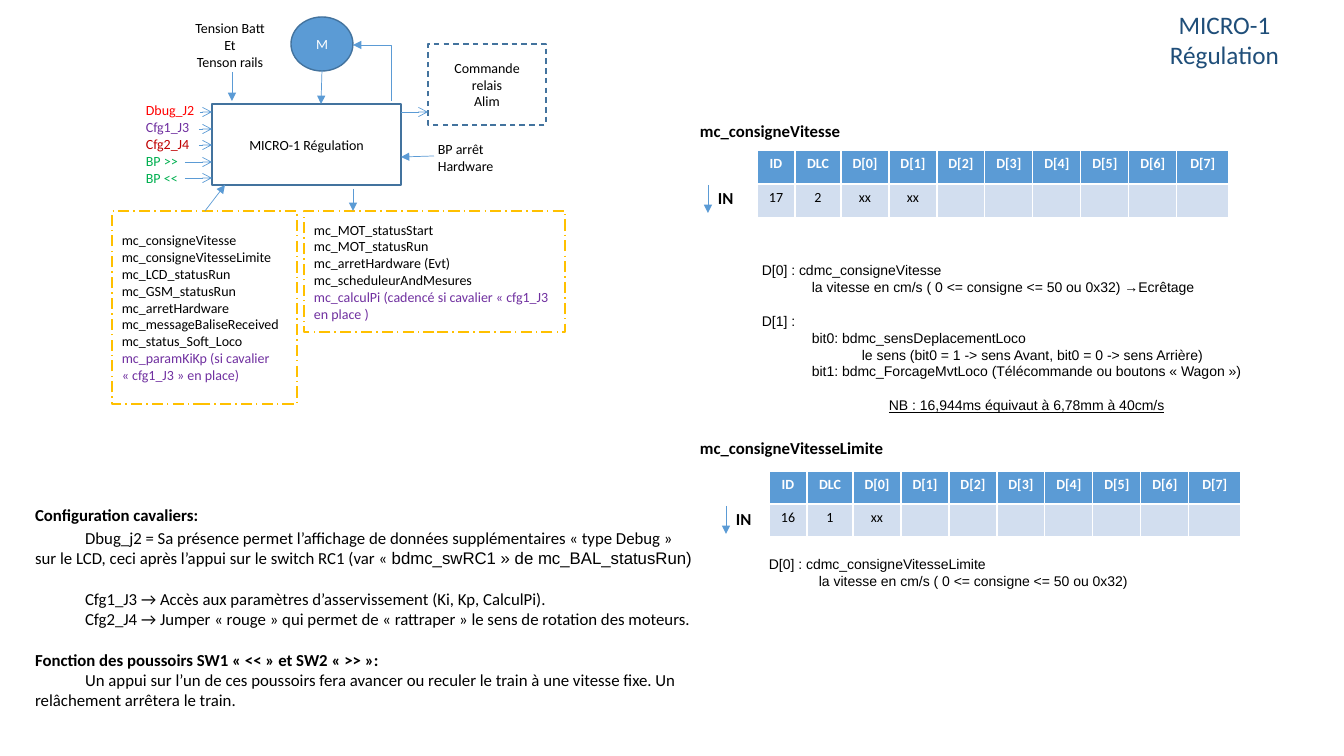
from dataclasses import dataclass

from lxml import etree
from pptx import Presentation
from pptx.dml.color import RGBColor
from pptx.enum.dml import MSO_LINE
from pptx.enum.shapes import MSO_CONNECTOR, MSO_SHAPE
from pptx.enum.text import MSO_ANCHOR, MSO_AUTO_SIZE, PP_ALIGN
from pptx.oxml.ns import qn
from pptx.util import Emu, Pt

SCALE = 914400 / 100.8
TAB = 50
UNIT_NAME = "MICRO-1 Régulation"
COLORS = {
    "black": "000000", "white": "FFFFFF", "blue": "5B9BD5", "edge": "43739E",
    "navy": "1F4E79", "pale": "D2DEEF", "gold": "FFC000", "red": "FF0000",
    "purple": "7030A0", "crimson": "C00000", "green": "00B050",
}
COLUMNS = [38, 46] + [48] * 7 + [52]
HEADERS = ["ID", "DLC"] + [f"D[{i}]" for i in range(8)]


@dataclass
class Line:
    """One paragraph; text is a string or a list of (text, font) runs."""
    text: object
    color: str = "black"
    size: int = 10
    font: str = "Calibri"
    bold: bool = False
    underline: bool = False
    align: object = PP_ALIGN.LEFT
    left: int = 0
    first: int = 0
    before: float = 0


def px(value):
    """Turn pixels into EMU."""
    return Emu(round(value * SCALE))


def rgb(name):
    """Look up a named colour."""
    return RGBColor.from_string(COLORS[name])


def write(frame, lines, wrap=True, anchor=MSO_ANCHOR.TOP):
    """Fill a text frame with formatted lines."""
    frame.word_wrap = wrap
    frame.auto_size = MSO_AUTO_SIZE.NONE
    frame.vertical_anchor = anchor
    for index, line in enumerate(lines):
        paragraph = frame.paragraphs[0] if index == 0 else frame.add_paragraph()
        paragraph.alignment = line.align
        paragraph.line_spacing = 1.0
        paragraph.space_before = Pt(line.before)
        properties = paragraph._p.get_or_add_pPr()
        properties.set("marL", str(px(line.left)))
        properties.set("indent", str(px(line.first)))
        etree.SubElement(properties, qn("a:buNone"))
        if not line.text:
            etree.SubElement(paragraph._p, qn("a:endParaRPr"), sz=str(line.size * 100))
            continue
        runs = [(line.text, line.font)] if isinstance(line.text, str) else line.text
        for text, font in runs:
            run = paragraph.add_run()
            run.text = text
            run.font.name = font
            run.font.size = Pt(line.size)
            run.font.bold = line.bold
            run.font.underline = line.underline
            run.font.color.rgb = rgb(line.color)


def add_text(slide, box, lines, wrap=False):
    """Add a text box."""
    write(slide.shapes.add_textbox(*map(px, box)).text_frame, lines, wrap)


def fill_placeholder(placeholder, box, lines, wrap=True):
    """Move a placeholder and write its text."""
    placeholder.left, placeholder.top, placeholder.width, placeholder.height = map(px, box)
    write(placeholder.text_frame, lines, wrap)


def add_block(slide, kind, box, lines, edge="edge", dash=None, fill=None):
    """Add an outlined shape with text centred vertically."""
    shape = slide.shapes.add_shape(kind, *map(px, box))
    shape.shadow.inherit = False
    if fill:
        shape.fill.solid()
        shape.fill.fore_color.rgb = rgb(fill)
    else:
        shape.fill.background()
    shape.line.color.rgb = rgb(edge)
    shape.line.width = Pt(1)
    if dash:
        shape.line.dash_style = dash
    write(shape.text_frame, lines, anchor=MSO_ANCHOR.MIDDLE)


def add_arrow(slide, x1, y1, x2, y2, head="triangle"):
    """Add a thin arrow pointing at its second end."""
    arrow = slide.shapes.add_connector(MSO_CONNECTOR.STRAIGHT, *map(px, (x1, y1, x2, y2)))
    arrow.line.color.rgb = rgb("blue")
    arrow.line.width = Pt(0.5)
    etree.SubElement(arrow.line._get_or_add_ln(), qn("a:tailEnd"), type=head)
    etree.SubElement(arrow._element.spPr, qn("a:effectLst"))
    return arrow


def add_feedback_arrow(slide):
    """Add the bent arrow from the regulator up to the motor."""
    properties = add_arrow(slide, 344, 92, 400, 54)._element.spPr
    properties.find(qn("a:prstGeom")).set("prst", "bentConnector2")
    properties.find(qn("a:xfrm")).set("rot", str(270 * 60000))


def add_frame_table(slide, left, top, row_height, values):
    """Add the byte layout of one message."""
    box = (left, top, sum(COLUMNS), 2 * row_height)
    table = slide.shapes.add_table(2, len(COLUMNS), *map(px, box)).table
    for column, width in zip(table.columns, COLUMNS):
        column.width = px(width)
    padded = values + [""] * (len(COLUMNS) - len(values))
    styles = (("blue", "white", True), ("pale", "black", False))
    for row, (texts, (fill, color, bold)) in enumerate(zip((HEADERS, padded), styles)):
        table.rows[row].height = px(row_height)
        for col, text in enumerate(texts):
            cell = table.cell(row, col)
            cell.fill.solid()
            cell.fill.fore_color.rgb = rgb(fill)
            write(cell.text_frame, [Line(text, color, bold=bold, align=PP_ALIGN.CENTER)])


def add_message(slide, name, name_top, table_box, values, arrow_x, arrow_y):
    """Add a message heading, its table and its IN marker."""
    add_text(slide, (690, name_top, 206, 30), [Line(name, size=12, bold=True)])
    add_frame_table(slide, *table_box, values)
    add_arrow(slide, arrow_x, arrow_y, arrow_x, arrow_y + 28)
    add_text(slide, (arrow_x, arrow_y - 2, 36, 30), [Line("IN", size=12, bold=True)])


def centered(*texts, color="black"):
    """Make centred lines."""
    return [Line(text, color, align=PP_ALIGN.CENTER) for text in texts]


def add_diagram(slide):
    """Draw the regulator with its inputs and outputs."""
    add_block(slide, MSO_SHAPE.RECTANGLE, (212, 104, 189, 81), centered(UNIT_NAME))
    add_block(slide, MSO_SHAPE.OVAL, (291, 17, 62, 54), centered("M", color="white"), fill="blue")
    add_block(slide, MSO_SHAPE.RECTANGLE, (428, 44, 118, 81),
              centered("Commande relais", "Alim"), dash=MSO_LINE.DASH)
    received = ["mc_consigneVitesse", "mc_consigneVitesseLimite", "mc_LCD_statusRun",
                "mc_GSM_statusRun", "mc_arretHardware", "mc_messageBaliseReceived",
                "mc_status_Soft_Loco"]
    sent = ["mc_MOT_statusStart", "mc_MOT_statusRun", "mc_arretHardware (Evt)",
            "mc_scheduleurAndMesures"]
    for box, names, option in (
        ((112, 211, 185, 193), received,
         "mc_paramKiKp (si cavalier «\u00a0cfg1_J3\u00a0» en place)"),
        ((304, 211, 261, 121), sent,
         "mc_calculPi (cadencé si cavalier «\u00a0cfg1_J3 en place )"),
    ):
        add_block(slide, MSO_SHAPE.RECTANGLE, box,
                  [Line(name) for name in names] + [Line(option, "purple")],
                  "gold", MSO_LINE.LONG_DASH_DOT)
    add_text(slide, (183, 15, 94, 61), centered("Tension Batt", "Et", "Tenson rails"))
    add_text(slide, (428, 136, 80, 45), [Line("BP arrêt"), Line("Hardware")])
    inputs = [("Dbug_J2", "red", 200), ("Cfg1_J3", "purple", 199), ("Cfg2_J4", "crimson", 199),
              ("BP >>", "green", 185), ("BP <<", "green", 185)]
    add_text(slide, (136, 97, 70, 95), [Line(name, color) for name, color, _ in inputs])
    for index, (_, _, start) in enumerate(inputs):
        y = 112 + round(index * 16.6)
        add_arrow(slide, start, y, 212, y, "arrow")
    add_arrow(slide, 401, 112, 428, 112, "arrow")
    for ends in ((322, 71, 321, 104), (232, 72, 232, 101), (205, 211, 225, 185),
                 (353, 189, 353, 211), (434, 156, 401, 157)):
        add_arrow(slide, *ends)
    add_feedback_arrow(slide)


def add_messages(slide):
    """Describe both speed messages."""
    add_message(slide, "mc_consigneVitesse", 116, (757, 150, 34),
                ["17", "2", "xx", "xx"], 708, 185)
    add_message(slide, "mc_consigneVitesseLimite", 433, (769, 471, 33),
                ["16", "1", "xx"], 726, 506)
    add_text(slide, (752, 257, 549, 163), [
        Line("D[0] : cdmc_consigneVitesse", font="Arial"),
        Line("la vitesse en cm/s ( 0 <= consigne <= 50 ou 0x32) →Ecrêtage", font="Arial", left=TAB),
        Line("D[1] :", font="Arial", before=12),
        Line("bit0: bdmc_sensDeplacementLoco", font="Arial", left=TAB),
        Line("le sens (bit0 = 1 -> sens Avant, bit0 = 0 -> sens Arrière)", font="Arial", left=2 * TAB),
        Line("bit1: bdmc_ForcageMvtLoco (Télécommande ou boutons «\u00a0Wagon\u00a0»)",
             font="Arial", left=TAB),
        Line("NB : 16,944ms équivaut à 6,78mm à 40cm/s", font="Arial", underline=True,
             align=PP_ALIGN.CENTER, before=12),
    ], wrap=True)
    add_text(slide, (759, 551, 382, 44), [
        Line("D[0] : cdmc_consigneVitesseLimite", font="Arial"),
        Line("la vitesse en cm/s ( 0 <= consigne <= 50 ou 0x32)", font="Arial", left=TAB),
    ])


def main():
    """Build the slide and save it."""
    deck = Presentation()
    deck.slide_width, deck.slide_height = px(1344), px(756)
    slide = deck.slides.add_slide(deck.slide_layouts[1])
    title, body = slide.placeholders
    fill_placeholder(title, (1116, 4, 217, 40),
                     [Line(UNIT_NAME, "navy", 18, align=PP_ALIGN.CENTER)], wrap=False)
    fill_placeholder(body, (25, 500, 682, 238), [
        Line("Configuration cavaliers:", size=12, bold=True),
        Line([("Dbug_j2 = Sa présence permet l’affichage de données supplémentaires "
               "«\u00a0type Debug\u00a0» sur le LCD, ceci après l’appui sur le switch RC1 (var «\u00a0",
               "Calibri"), ("bdmc_swRC1\u00a0» de mc_BAL_statusRun)", "Arial")],
             size=12, first=TAB, before=2),
        Line("Cfg1_J3 → Accès aux paramètres d’asservissement (Ki, Kp, CalculPi).",
             size=12, first=TAB, before=14.6),
        Line("Cfg2_J4 → Jumper «\u00a0rouge\u00a0» qui permet de «\u00a0rattraper\u00a0» "
             "le sens de rotation des moteurs.", size=12, first=TAB),
        Line("Fonction des poussoirs SW1 « << » et SW2 «\u00a0>>\u00a0»:",
             size=12, bold=True, before=14.6),
        Line("Un appui sur l’un de ces poussoirs fera avancer ou reculer le train à une "
             "vitesse fixe. Un relâchement arrêtera le train.", size=12, first=TAB),
    ])
    add_diagram(slide)
    add_messages(slide)
    deck.save("out.pptx")


main()
